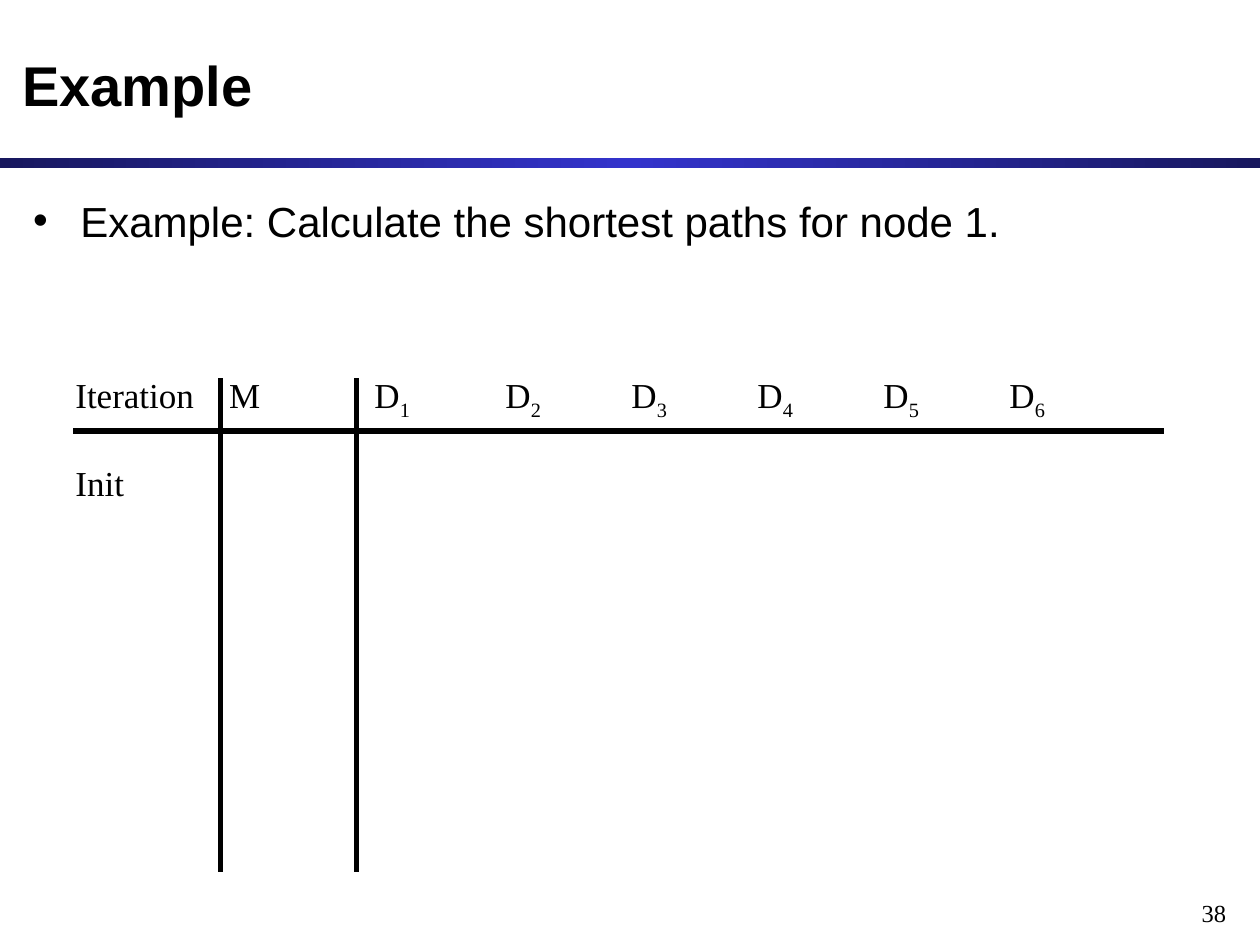
from dataclasses import dataclass

from lxml.etree import SubElement
from pptx import Presentation
from pptx.dml.color import RGBColor as Rgb
from pptx.enum.shapes import MSO_CONNECTOR as Connector
from pptx.enum.shapes import MSO_SHAPE as Shape
from pptx.enum.text import MSO_ANCHOR as Anchor
from pptx.enum.text import PP_ALIGN as Align
from pptx.oxml.ns import qn
from pptx.util import Cm, Pt


@dataclass(frozen=True)
class Theme:
    ink: str = "000000"
    band_edge: str = "18185E"
    band_middle: str = "3333CC"
    sans: str = "Arial"
    serif: str = "Times New Roman"
    title_size: int = 32
    body_size: int = 24
    table_size: int = 20
    number_size: int = 14
    rule_width: int = 3


THEME = Theme()

# Column starts of the routing table, in cm from the text edge
M_STOP = 3.1
D1_STOP = 6.03
D2_STOP = 8.67
D_STEP = 2.54
NODES = range(1, 7)


def add_text_frame(slide, left, top, width, height, anchor=Anchor.TOP):
    frame = slide.shapes.add_textbox(Cm(left), Cm(top), Cm(width), Cm(height)).text_frame
    frame.word_wrap = True
    frame.vertical_anchor = anchor
    return frame


def add_run(paragraph, text, face, size, bold=False, subscript=False):
    run = paragraph.add_run()
    run.text = text
    font_format = {"name": face, "size": Pt(size), "bold": bold}
    for attribute, value in font_format.items():
        setattr(run.font, attribute, value)
    run.font.color.rgb = Rgb.from_string(THEME.ink)
    if subscript:
        run.font._element.set("baseline", "-25000")


def add_bullet(paragraph, indent):
    properties = paragraph._p.get_or_add_pPr()
    properties.set("marL", str(Cm(indent)))
    properties.set("indent", str(-Cm(indent)))
    SubElement(properties, qn("a:buFont"), typeface=THEME.sans)
    SubElement(properties, qn("a:buChar"), char="•")


def add_tab_stops(paragraph, stops):
    tabs = SubElement(paragraph._p.get_or_add_pPr(), qn("a:tabLst"))
    for stop in stops:
        SubElement(tabs, qn("a:tab"), pos=str(Cm(stop)), algn="l")


def add_band(slide, top, width, height):
    band = slide.shapes.add_shape(Shape.RECTANGLE, 0, Cm(top), Cm(width), Cm(height))
    band.shadow.inherit = False
    band.line.fill.background()
    band.fill.gradient()
    band.fill.gradient_angle = 0
    stops = band.fill._xPr.find(qn("a:gradFill")).find(qn("a:gsLst"))
    for stop in list(stops):
        stops.remove(stop)
    colors = (THEME.band_edge, THEME.band_middle, THEME.band_edge)
    for position, color in zip((0, 50000, 100000), colors):
        stop = SubElement(stops, qn("a:gs"), pos=str(position))
        SubElement(stop, qn("a:srgbClr"), val=color)


def add_rule(slide, x1, y1, x2, y2):
    rule = slide.shapes.add_connector(Connector.STRAIGHT, Cm(x1), Cm(y1), Cm(x2), Cm(y2))
    rule.line.color.rgb = Rgb.from_string(THEME.ink)
    rule.line.width = Pt(THEME.rule_width)
    SubElement(rule._element.spPr, qn("a:effectLst"))


def add_routing_table(slide):
    frame = add_text_frame(slide, 1.27, 7.41, 22.23, 9.96)
    style = {"face": THEME.serif, "size": THEME.table_size}

    # Column heads: iteration, M and one distance per node
    heads = frame.paragraphs[0]
    later_stops = [D2_STOP + D_STEP * step for step in range(len(NODES) - 1)]
    add_tab_stops(heads, [M_STOP, D1_STOP, *later_stops])
    add_run(heads, "Iteration\tM", **style)
    for node in NODES:
        add_run(heads, "\tD", **style)
        add_run(heads, str(node), subscript=True, **style)

    # First row
    first_row = frame.add_paragraph()
    first_row.space_before = Pt(23)
    add_run(first_row, "Init", **style)

    # Rules
    add_rule(slide, 1.48, 8.69, 23.47, 8.69)
    for x in (4.45, 7.19):
        add_rule(slide, x, 7.62, x, 17.58)


def main():
    deck = Presentation()
    deck.slide_width, deck.slide_height = Cm(25.4), Cm(19.05)
    slide = deck.slides.add_slide(deck.slide_layouts[6])

    # Band and page number
    add_band(slide, 3.18, 25.4, 0.2)
    number = add_text_frame(slide, 19.69, 17.98, 5.28, 0.64).paragraphs[0]
    number.alignment = Align.RIGHT
    add_run(number, "38", THEME.serif, THEME.number_size)

    # Title
    title = add_text_frame(slide, 0.2, 0.43, 24.97, 2.54, Anchor.MIDDLE).paragraphs[0]
    add_run(title, "Example", THEME.sans, THEME.title_size, bold=True)

    # Task
    task = add_text_frame(slide, 0.42, 3.81, 24.77, 1.32).paragraphs[0]
    task.space_before = Pt(6)
    add_bullet(task, 0.95)
    add_run(task, "Example: Calculate the shortest paths for node 1.", THEME.sans, THEME.body_size)

    add_routing_table(slide)
    deck.save("out.pptx")


if __name__ == "__main__":
    main()
